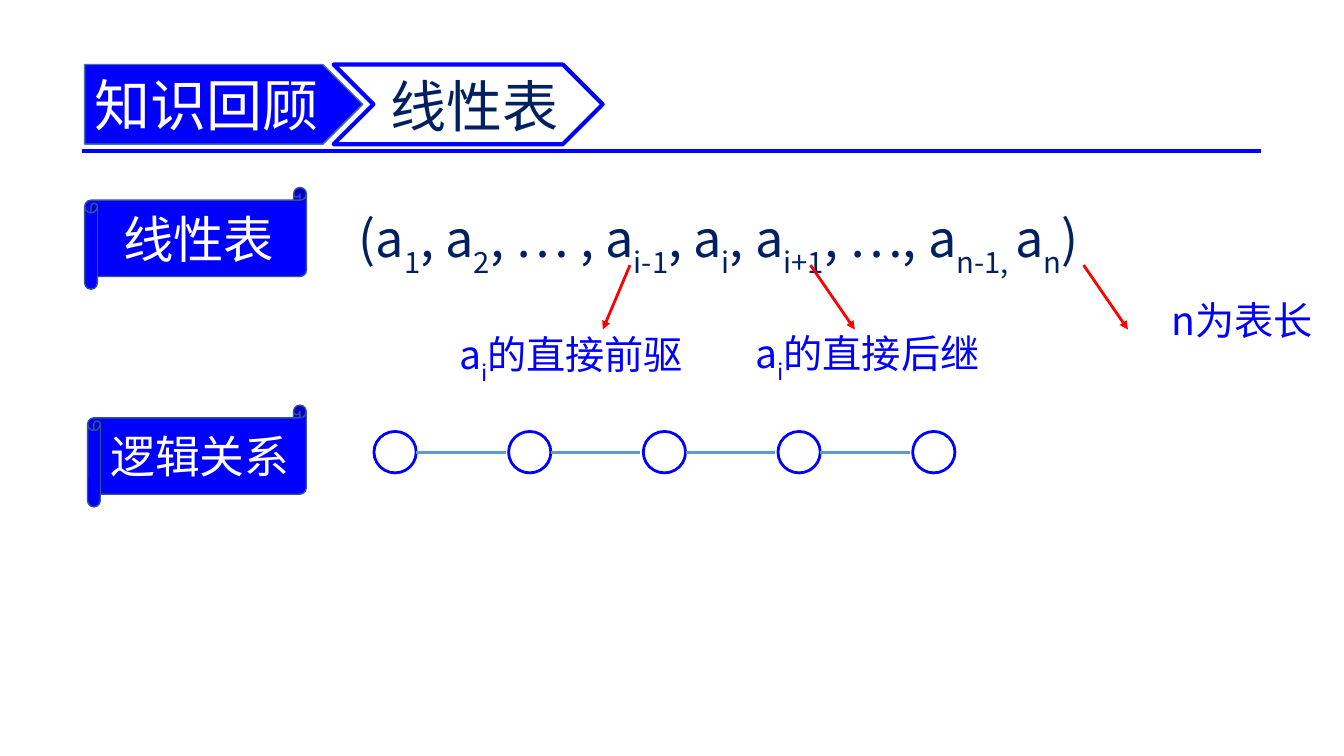
"""Builds a review slide on linear lists: definition, neighbours and logical structure."""
from lxml import etree
from pptx import Presentation
from pptx import util as u
from pptx.dml import color
from pptx.enum import shapes, text
from pptx.oxml import ns

COLORS = {
    "blue": "0000FF", "navy": "002060", "red": "FF0000", "white": "FFFFFF",
    "link": "5B9BD5", "scroll_edge": "325491", "tab_edge": "43739E",
}
FONT = "Noto Sans CJK SC"
KIND = shapes.MSO_SHAPE
MIDDLE = text.MSO_ANCHOR.MIDDLE
LEFT, CENTER = text.PP_ALIGN.LEFT, text.PP_ALIGN.CENTER


def rgb(name):
    """Return the named colour."""
    return color.RGBColor.from_string(COLORS[name])


def points(values):
    """Convert numbers to point lengths."""
    return [u.Pt(value) for value in values]


def percent_gap(paragraph, tag, percent):
    """Set the spacing before or after a paragraph as a percentage."""
    gap = etree.SubElement(paragraph._p.get_or_add_pPr(), ns.qn(tag))
    etree.SubElement(gap, ns.qn("a:spcPct"), val=str(percent * 1000))


def write(holder, wording, size, ink, align=CENTER, anchor=None, spacing=None,
          before=None, after=None, insets=None, grow=False):
    """Write text whose parts between bars are subscripts."""
    frame = holder.text_frame
    frame.word_wrap = True
    if grow:
        frame.auto_size = text.MSO_AUTO_SIZE.SHAPE_TO_FIT_TEXT
    if anchor is not None:
        frame.vertical_anchor = anchor
    if insets:
        (frame.margin_left, frame.margin_top,
         frame.margin_right, frame.margin_bottom) = points(insets)
    line = frame.paragraphs[0]
    line.alignment = align
    if spacing:
        line.line_spacing = spacing
    if before:
        percent_gap(line, "a:spcBef", before)
    if after:
        percent_gap(line, "a:spcAft", after)
    for index, part in enumerate(wording.split("|")):
        run = line.add_run()
        run.text = part
        run.font.size = u.Pt(size)
        run.font.name = FONT
        run.font.color.rgb = rgb(ink)
        properties = run._r.get_or_add_rPr()
        etree.SubElement(properties, ns.qn("a:ea"), typeface=FONT)
        if index % 2:
            properties.set("baseline", "-30000")


def add_label(canvas, box, wording, size, ink, **layout):
    """Add a text box."""
    write(canvas.add_textbox(*points(box)), wording, size, ink, **layout)


def add_figure(canvas, kind, box, fill, edge, weight):
    """Add a filled and outlined preset shape."""
    figure = canvas.add_shape(kind, *points(box))
    figure.shadow.inherit = False
    figure.fill.solid()
    figure.fill.fore_color.rgb = rgb(fill)
    figure.line.color.rgb = rgb(edge)
    figure.line.width = u.Pt(weight)
    return figure


def add_line(canvas, ends, ink, weight, arrow=False):
    """Add a straight line, optionally ending in an arrowhead."""
    line = canvas.add_connector(shapes.MSO_CONNECTOR.STRAIGHT, *points(ends))
    line.line.color.rgb = rgb(ink)
    line.line.width = u.Pt(weight)
    if arrow:
        etree.SubElement(line.line._get_or_add_ln(), ns.qn("a:tailEnd"), type="triangle")
    etree.SubElement(line._element.spPr, ns.qn("a:effectLst"))


def add_scroll(canvas, box, wording, size):
    """Add a section heading on a scroll."""
    scroll = add_figure(canvas, KIND.HORIZONTAL_SCROLL, box, "blue", "scroll_edge", 1)
    write(scroll, wording, size, "white", anchor=MIDDLE)


def add_chain(canvas, left, top, count, pitch):
    """Add a row of nodes joined by links."""
    width, height, link = 30.2, 29.6, 64
    chain = canvas.add_group_shape().shapes
    for index in range(count):
        x = left + index * pitch
        add_figure(chain, KIND.OVAL, (x, top, width, height), "white", "blue", 2)
        if index < count - 1:
            y = top + height / 2
            add_line(chain, (x + width, y, x + width + link, y), "link", 2)


def add_title(canvas):
    """Add the two title tabs."""
    review = add_figure(canvas, KIND.PENTAGON, (60.5, 46.1, 198.7, 56.9),
                        "blue", "tab_edge", 1)
    write(review, "知识回顾", 40, "white", align=LEFT, anchor=MIDDLE)
    topic = canvas.add_group_shape().shapes
    add_figure(topic, KIND.CHEVRON, (238.3, 46.1, 192.2, 56.9), "white", "blue", 3)
    add_label(topic, (185.8, 38.9, 303.8, 77.8), "线性表", 40, "navy", anchor=MIDDLE,
              spacing=0.9, after=35, insets=(2.9, 1.4, 0, 1.4))


def main():
    """Build and save the slide."""
    deck = Presentation()
    deck.slide_width, deck.slide_height = points((960, 540))
    canvas = deck.slides.add_slide(deck.slide_layouts[6]).shapes

    add_line(canvas, (58.3, 108, 900.7, 108), "blue", 3)
    add_label(canvas, (249.1, 134.6, 561.6, 55.4),
              "(a|1|, a|2|, … , a|i-1|, a|i|, a|i+1|, …, a|n-1, |a|n|)",
              36, "navy", align=LEFT, spacing=1.2, before=30, grow=True)

    notes = [
        (450, 430.6, 294.5, 232.6, "a|i|的直接前驱"),
        (578.9, 610.6, 506.2, 231.8, "a|i|的直接后继"),
        (774, 805.7, 774, 208.1, "n为表长"),
    ]
    for start, end, left, top, wording in notes:
        add_line(canvas, (start, 189.4, end, 235.4), "red", 2, arrow=True)
        add_label(canvas, (left, top, 226.8, 41), wording, 28, "blue", grow=True)

    add_chain(canvas, left=267.1, top=308.2, count=5, pitch=96.2)
    add_scroll(canvas, (60.5, 133.9, 158.4, 72.7), "线性表", 36)
    add_scroll(canvas, (62.6, 289.4, 156.2, 72.7), "逻辑关系", 32)
    add_title(canvas)
    deck.save("out.pptx")


if __name__ == "__main__":
    main()
